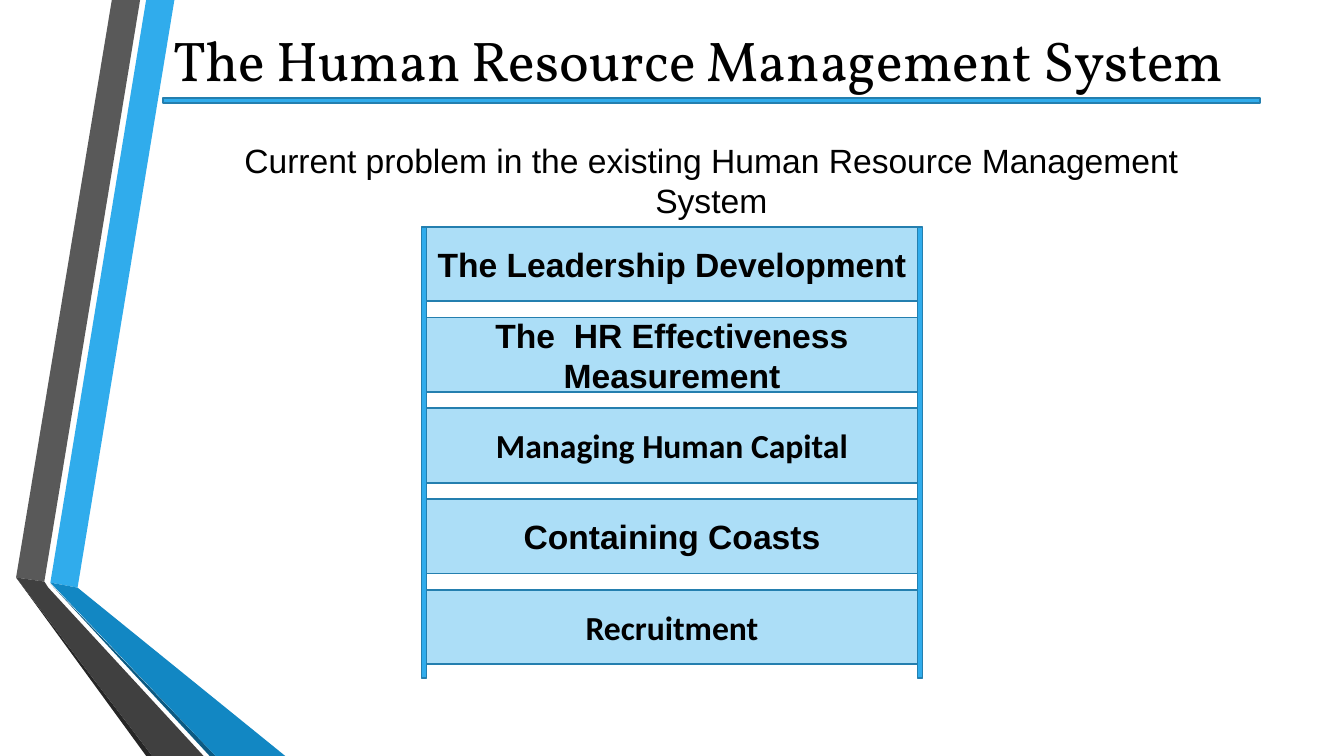
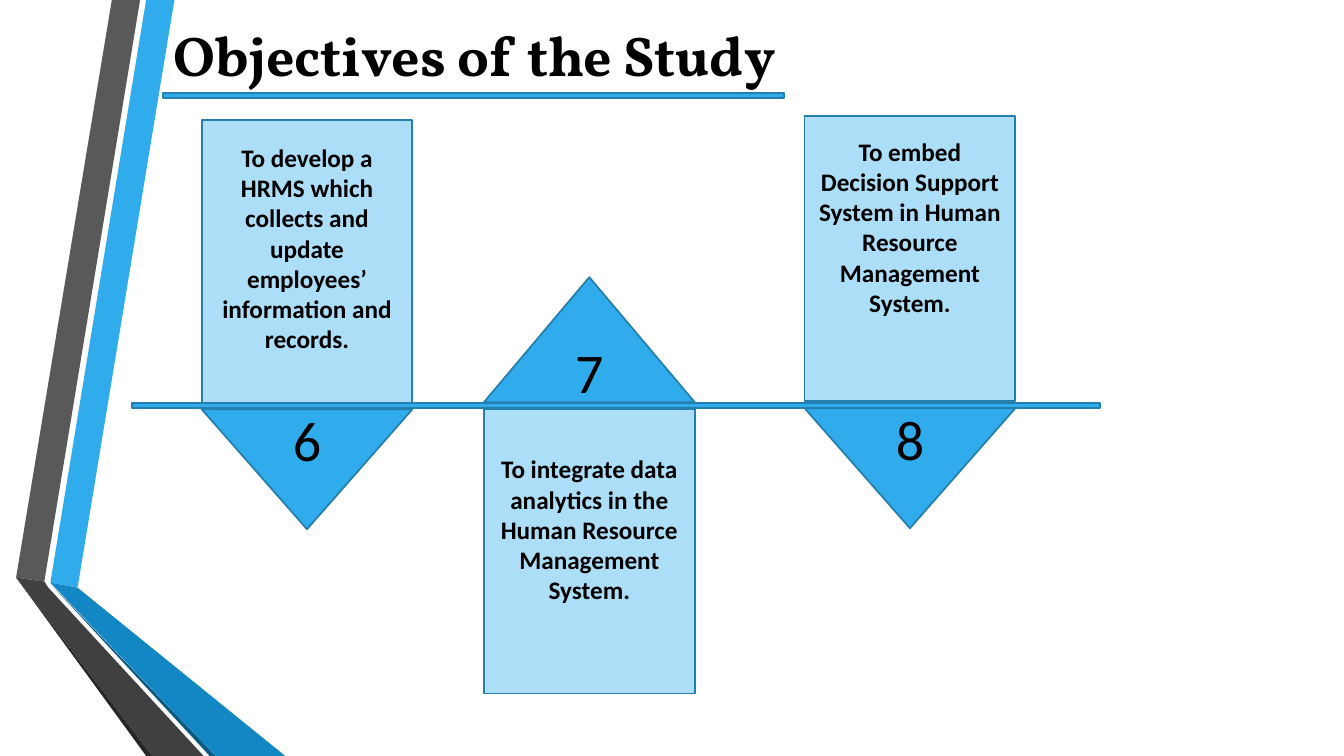
import pptx
import pptx.dml.color
import pptx.enum.shapes
import pptx.enum.text
import pptx.util

PX = pptx.util.Inches(1) // 100
SHAPE = pptx.enum.shapes.MSO_SHAPE
ALIGN = pptx.enum.text.PP_ALIGN
ANCHOR = pptx.enum.text.MSO_ANCHOR

BLACK, SKY, PALE, EDGE = "000000", "30ACEC", "ACDEF7", "247FAF"
BAR = 5

RIBBONS = [
    (SKY, [(50, 578), (77, 583), (173, 0), (145, 0)]),
    ("595959", [(139, 0), (111, 0), (16, 573), (44, 577)]),
    ("262626", [(16, 573), (145, 750), (151, 750)]),
    ("0C5A82", [(50, 579), (208, 750), (214, 750)]),
    ("1287C3", [(50, 578), (214, 750), (283, 750), (77, 583)]),
    ("404040", [(16, 573), (151, 750), (202, 750), (48, 583), (44, 577)]),
]

PROBLEMS = [
    ("The Leadership Development", "Arial"),
    ("The  HR Effectiveness Measurement", "Arial"),
    ("Managing Human Capital", "Calibri"),
    ("Containing Coasts", "Arial"),
    ("Recruitment", "Calibri"),
]

OBJECTIVES = [
    ("6", "To develop a HRMS which collects and update employees’ information and records.",
     SHAPE.FLOWCHART_MERGE, 200, (119, 281), (406, 119), 22),
    ("7", "To integrate data analytics in the Human Resource Management System.",
     SHAPE.ISOSCELES_TRIANGLE, 480, (406, 282), (275, 124), 44),
    ("8", "To embed Decision Support System in Human Resource Management System.",
     SHAPE.FLOWCHART_MERGE, 798, (115, 283), (405, 119), 20),
]


def px(*lengths):
    """Turn pixel lengths into EMU."""
    return [length * PX for length in lengths]


def paint(fill, color):
    """Give a fill one solid hex colour."""
    fill.solid()
    fill.fore_color.rgb = pptx.dml.color.RGBColor.from_string(color)


def write(shape, text, size, font, bold=False, align=ALIGN.CENTER, anchor=ANCHOR.MIDDLE, top=5):
    """Put formatted text into a shape."""
    frame = shape.text_frame
    frame.word_wrap = True
    frame.auto_size = pptx.enum.text.MSO_AUTO_SIZE.NONE
    frame.vertical_anchor = anchor
    frame.margin_top = top * PX
    paragraph = frame.paragraphs[0]
    paragraph.alignment = align
    run = paragraph.add_run()
    run.text = text
    run.font.size = pptx.util.Pt(size)
    run.font.name = font
    run.font.bold = bold
    paint(run.font.fill, BLACK)


def add_block(slide, kind, box, color):
    """Draw an outlined preset shape."""
    block = slide.shapes.add_shape(kind, *px(*box))
    block.shadow.inherit = False
    paint(block.fill, color)
    paint(block.line.fill, EDGE)
    block.line.width = pptx.util.Pt(1.25)
    return block


def add_ribbons(layout, slide):
    """Draw the folded ribbons and move them to the layout."""
    for color, points in RIBBONS:
        builder = slide.shapes.build_freeform(*points[0], scale=PX)
        builder.add_line_segments(points[1:], close=True)
        ribbon = builder.convert_to_shape()
        ribbon.shadow.inherit = False
        paint(ribbon.fill, color)
        ribbon.line.fill.background()
        layout.shapes.element.append(ribbon.element)


def add_title(slide, text, top, width, rule_width, bold=False):
    """Fill the title placeholder and underline it with a bar."""
    title = slide.shapes.title
    title.left, title.top, title.width, title.height = px(162, top, width, 77)
    write(title, text, 40, "Vollkorn", bold=bold, align=ALIGN.LEFT, anchor=ANCHOR.TOP)
    add_block(slide, SHAPE.RECTANGLE, (162, top + 77, rule_width, BAR), SKY)


def add_ladder(slide):
    """Draw the problems as rungs between two rails."""
    left, top, width, pitch = 423, 225, 487, 90
    for rail_left in (left - BAR, left + width):
        add_block(slide, SHAPE.RECTANGLE, (rail_left, top, BAR, 448), SKY)
    for index, (problem, font) in enumerate(PROBLEMS):
        rung_box = (left, top + index * pitch, width, 74)
        rung = add_block(slide, SHAPE.RECTANGLE, rung_box, PALE)
        write(rung, problem, 24, font, bold=True)


def add_timeline(slide):
    """Draw the objectives and their numbers along an axis."""
    width = 209
    add_block(slide, SHAPE.RECTANGLE, (131, 400, 960, BAR), SKY)
    for number, goal, pointer, left, (top, height), (tip_top, tip_height), inset in OBJECTIVES:
        card = add_block(slide, SHAPE.RECTANGLE, (left, top, width, height), PALE)
        write(card, goal, 18, "Calibri", bold=True, anchor=ANCHOR.TOP, top=inset)
        marker = add_block(slide, pointer, (left, tip_top, width, tip_height), SKY)
        write(marker, number, 40, "Calibri")


def main():
    """Build and save both slides."""
    deck = pptx.Presentation()
    deck.slide_width, deck.slide_height = px(1333, 750)
    layout = deck.slide_layouts.get_by_name("Title Only")

    problems = deck.slides.add_slide(layout)
    add_ribbons(layout, problems)
    add_title(problems, "The Human Resource Management System", 20, 1120, 1088)
    subtitle = problems.shapes.add_textbox(*px(206, 134, 999, 91))
    write(subtitle, "Current problem in the existing Human Resource Management System",
          24, "Arial", anchor=ANCHOR.TOP)
    add_ladder(problems)

    objectives = deck.slides.add_slide(layout)
    add_title(objectives, "Objectives of the Study", 15, 670, 616, bold=True)
    add_timeline(objectives)

    deck.save("out.pptx")


if __name__ == "__main__":
    main()
